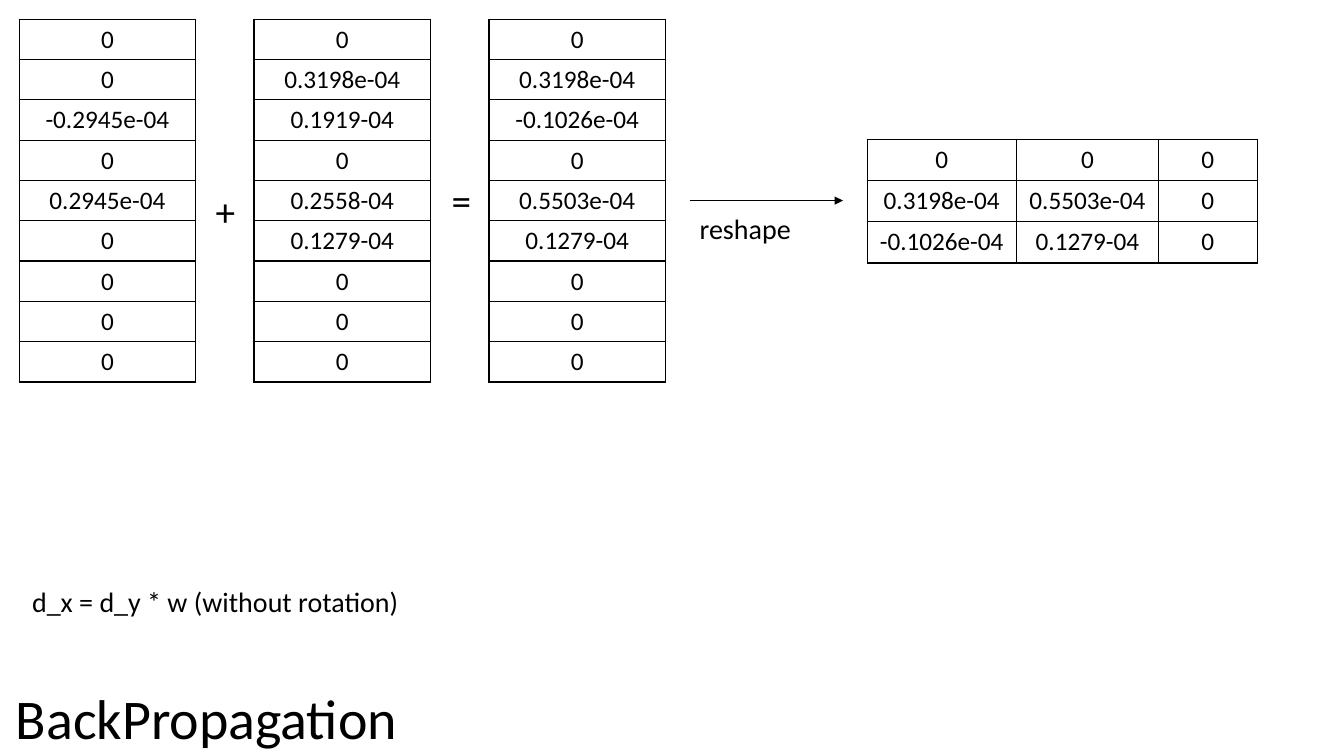
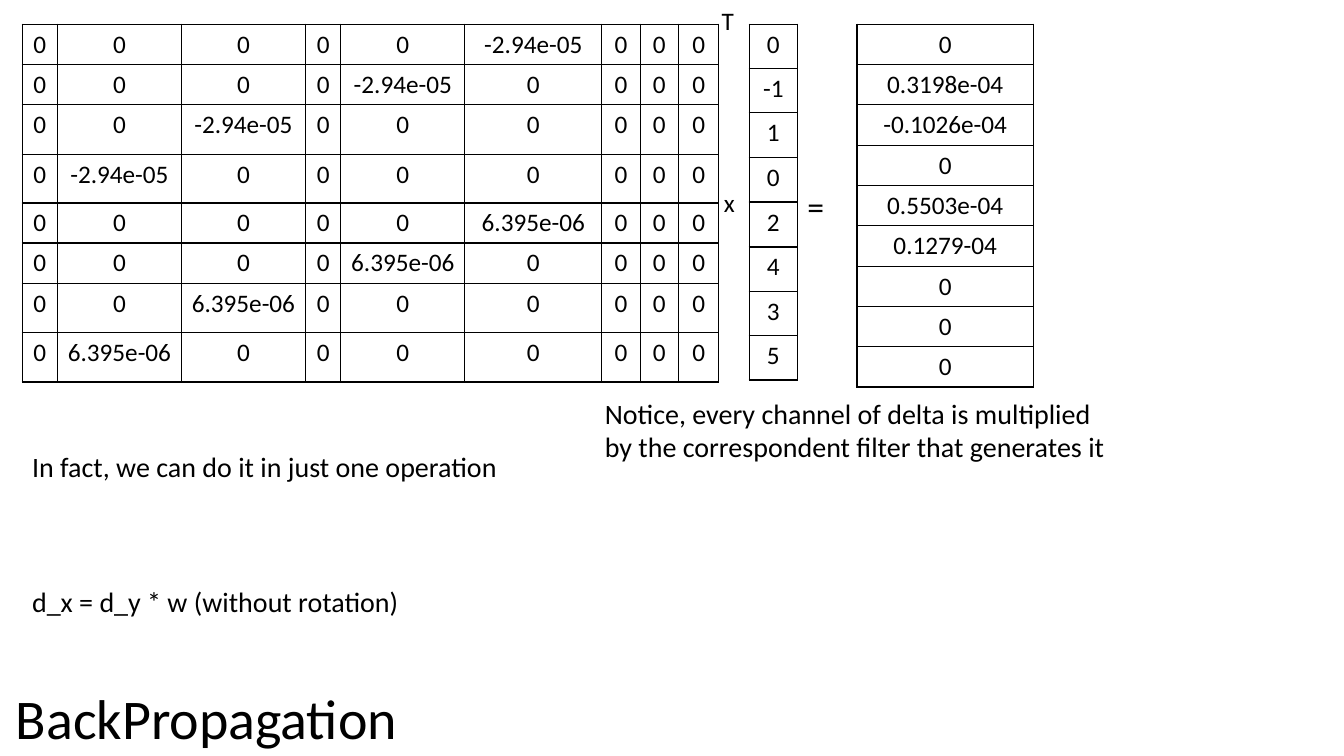
from pptx import Presentation
from pptx import util as u
from pptx.dml import color
from pptx.enum import shapes, text
from pptx.oxml import parse_xml, ns

Inches, Pt = u.Inches, u.Pt


class Theme:
    font = "Calibri"
    ink = color.RGBColor(0, 0, 0)
    cell, sign, body, op, title = 18, 24, 20, 28, 40
    rule, arrow = 1, 0.5


# Content
FOOT = [
    ("d_x = d_y * w (without rotation)", 0.22, 5.75, 3.87, 0.44, Theme.body),
    ("BackPropagation", 0.06, 6.73, 4.03, 0.77, Theme.title),
]
LEFT = ["0", "0", "-0.2945e-04", "0", "0.2945e-04", "0", "0", "0", "0"]
RIGHT = ["0", "0.3198e-04", "0.1919-04", "0", "0.2558-04", "0.1279-04",
         "0", "0", "0"]
TOTAL = ["0", "0.3198e-04", "-0.1026e-04", "0", "0.5503e-04", "0.1279-04",
         "0", "0", "0"]
SUM_TEXT = [
    ("+", 2.04, 1.81, 0.38, 0.57, Theme.op),
    ("=", 4.38, 1.7, 0.38, 0.57, Theme.op),
    ("reshape", 6.84, 2.05, 1.12, 0.44, Theme.body),
]
PROD_TEXT = [
    ("x", 7.08, 1.81, 0.31, 0.4, Theme.cell),
    ("T", 7.06, 0, 0.32, 0.4, Theme.cell),
    ("=", 7.91, 1.8, 0.37, 0.5, Theme.sign),
    ("In fact, we can do it in just one operation",
     0.22, 4.41, 4.85, 0.44, Theme.body),
    ("Notice, every channel of delta is multiplied\n"
     "by the correspondent filter that generates it",
     5.9, 3.88, 5.21, 0.77, Theme.body),
]
# Each channel: top, delta value, filter weights
PARTS = [
    (0.24, "-2.94e-05", ["0", "-1", "1", "0"]),
    (2.01, "6.395e-06", ["2", "4", "3", "5"]),
]
SPOTS = [5, 4, 2, 1]  # column of the delta in each matrix row
MAT_COLS = [0.35, 1.23, 1.23, 0.35, 1.23, 1.36, 0.38, 0.38, 0.4]
MAT_ROWS = [0.4, 0.4, 0.49, 0.49]
VEC_W, VEC_ROW = 1.75, 0.4


def style(para, size):
    for run in para.runs:
        run.font.name, run.font.size = Theme.font, Pt(size)
        run.font.color.rgb = Theme.ink


def label(slide, words, x, y, w, h, size):
    box = slide.shapes.add_textbox(*map(Inches, (x, y, w, h)))
    frame = box.text_frame
    frame.text = words
    frame.word_wrap = False
    frame.auto_size = text.MSO_AUTO_SIZE.SHAPE_TO_FIT_TEXT
    for para in frame.paragraphs:
        style(para, size)


def border(cell):
    props = cell._tc.get_or_add_tcPr()
    for side in "LRTB":
        props.append(parse_xml(
            f'<a:ln{side} {ns.nsdecls("a")} w="{Pt(Theme.rule)}"><a:solidFill>'
            f'<a:srgbClr val="{Theme.ink}"/></a:solidFill></a:ln{side}>'))


def grid(slide, x, y, cols, rows, data):
    size = map(Inches, (x, y, sum(cols), sum(rows)))
    table = slide.shapes.add_table(len(rows), len(cols), *size).table
    table.first_row = table.horz_banding = False
    for col, w in zip(table.columns, cols):
        col.width = Inches(w)
    for row, h, line in zip(table.rows, rows, data):
        row.height = Inches(h)
        for cell, word in zip(row.cells, line):
            cell.text = word
            cell.margin_left = cell.margin_right = Inches(0.05)
            cell.margin_bottom = Inches(0.04)
            para = cell.text_frame.paragraphs[0]
            para.alignment = text.PP_ALIGN.CENTER
            style(para, Theme.cell)
            border(cell)
            cell.fill.background()


def vector(slide, x, y, data, w=VEC_W, h=VEC_ROW):
    grid(slide, x, y, [w], [h] * len(data), [[word] for word in data])


def arrow(slide, x, y, end):
    line = slide.shapes.add_connector(
        shapes.MSO_CONNECTOR.STRAIGHT, *map(Inches, (x, y, end, y)))
    line.line.color.rgb, line.line.width = Theme.ink, Pt(Theme.arrow)
    line.line._get_or_add_ln().append(parse_xml(
        f'<a:tailEnd {ns.nsdecls("a")} type="triangle"/>'))
    line._element.spPr.append(parse_xml(f'<a:effectLst {ns.nsdecls("a")}/>'))


def page(deck, labels):
    slide = deck.slides.add_slide(deck.slide_layouts[6])
    for item in FOOT + labels:
        label(slide, *item)
    return slide


def main():
    deck = Presentation()
    deck.slide_width, deck.slide_height = Inches(13.33), Inches(7.5)

    # Sum of both channels, reshaped column by column
    slide = page(deck, SUM_TEXT)
    for i, data in enumerate([LEFT, RIGHT, TOTAL]):
        vector(slide, 0.19 + 2.33 * i, 0.19, data)
    arrow(slide, 6.84, 1.99, 8.36)
    square = [TOTAL[i::3] for i in range(3)]
    grid(slide, 8.6, 1.38, [1.48, 1.41, 0.98], [0.41] * 3, square)

    # The same as one matrix product
    slide = page(deck, PROD_TEXT)
    for top, delta, filt in PARTS:
        data = [[delta if i == spot else "0" for i in range(len(MAT_COLS))]
                for spot in SPOTS]
        grid(slide, 0.22, top, MAT_COLS, MAT_ROWS, data)
        vector(slide, 7.43, top, filt, 0.48, 0.44)
    vector(slide, 8.5, 0.24, TOTAL)

    deck.save("out.pptx")


if __name__ == "__main__":
    main()
